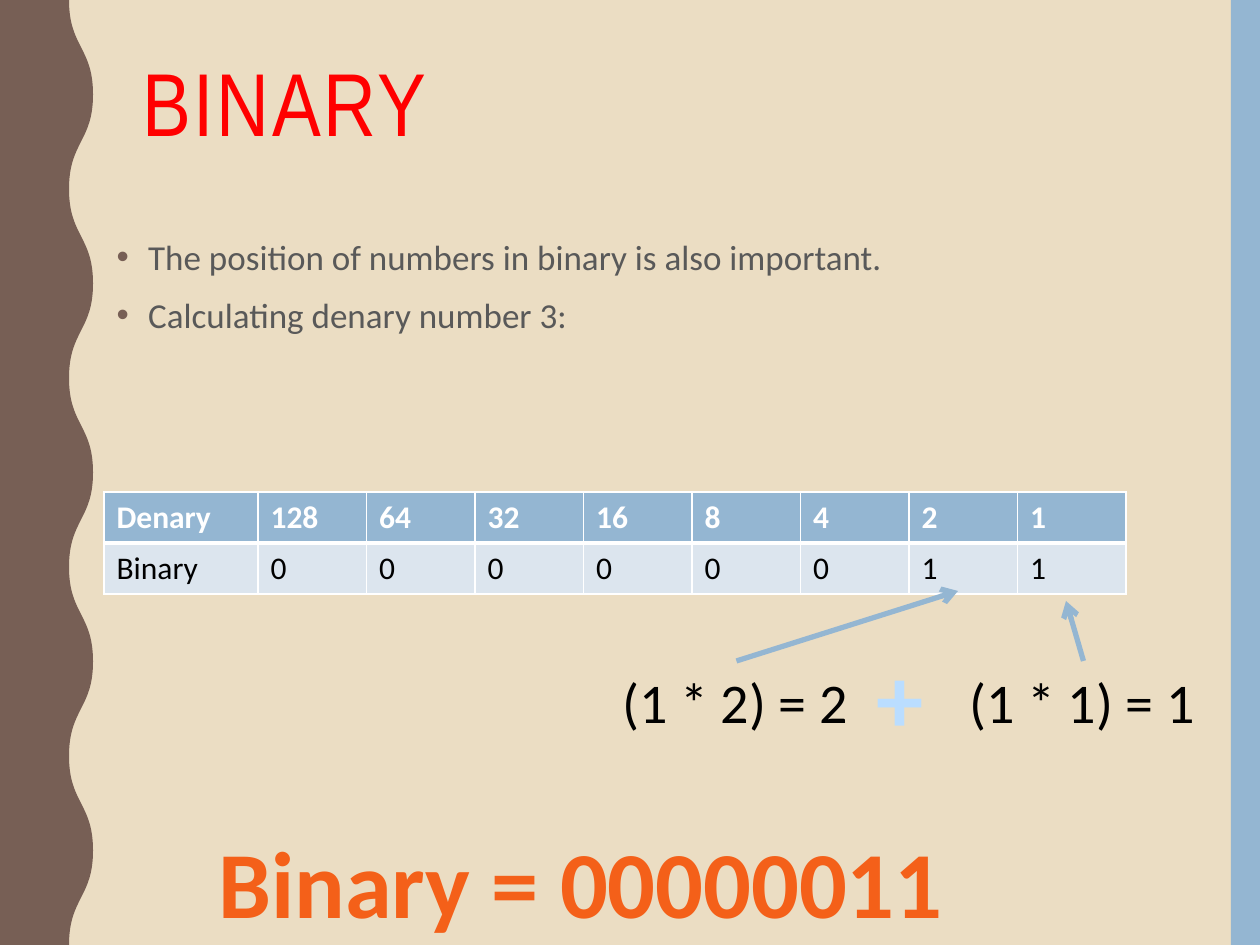
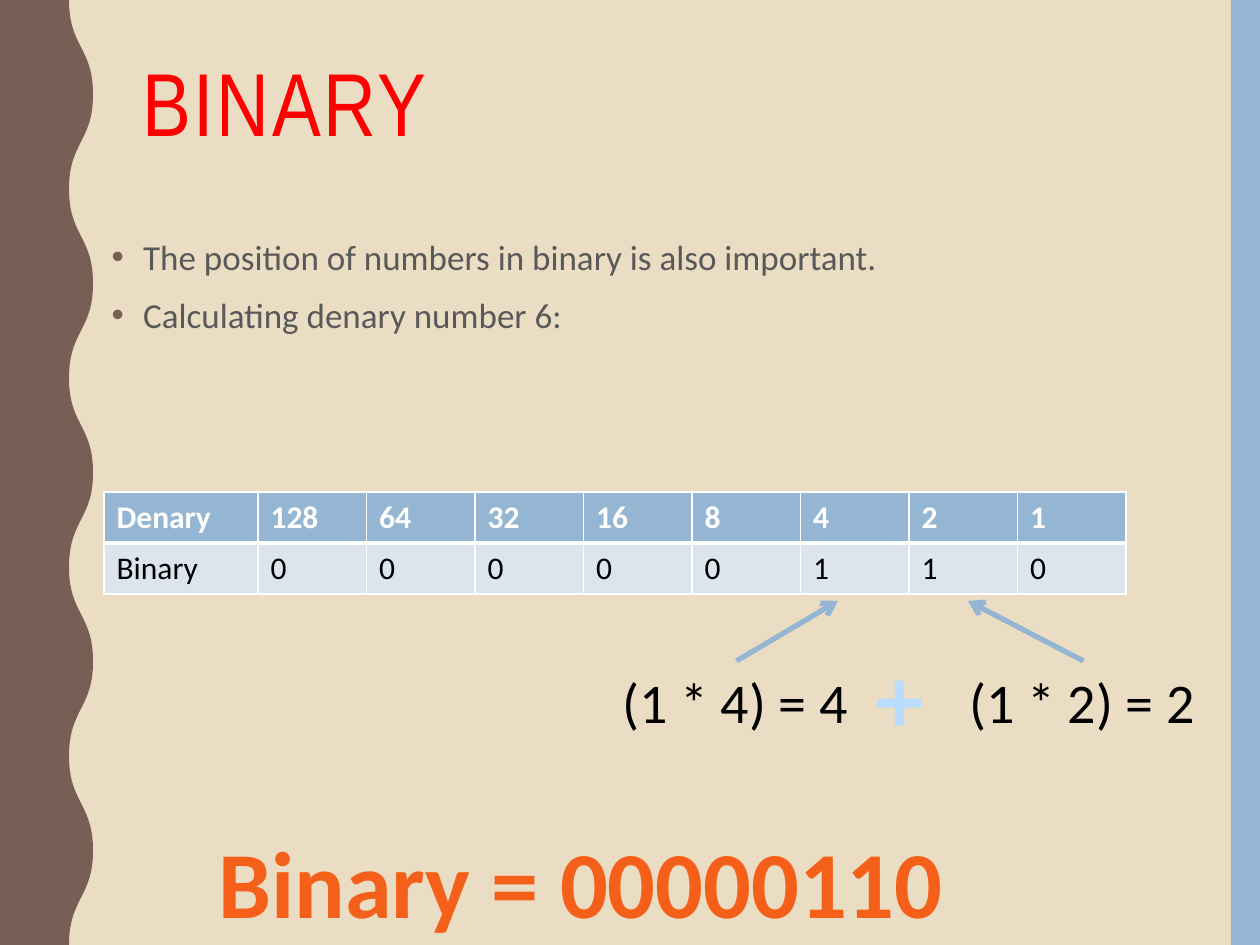
from lxml import etree
from pptx import Presentation
from pptx.dml.color import RGBColor
from pptx.enum.shapes import MSO_CONNECTOR, MSO_SHAPE
from pptx.enum.text import MSO_ANCHOR, MSO_AUTO_SIZE, PP_ALIGN
from pptx.oxml.ns import qn
from pptx.util import Emu, Inches, Pt

RECTANGLE = MSO_SHAPE.RECTANGLE
STRAIGHT = MSO_CONNECTOR.STRAIGHT
TOP = MSO_ANCHOR.TOP
NO_FIT, GROW = MSO_AUTO_SIZE.NONE, MSO_AUTO_SIZE.SHAPE_TO_FIT_TEXT
LEFT, CENTER = PP_ALIGN.LEFT, PP_ALIGN.CENTER

SAND = RGBColor(0xEB, 0xDD, 0xC3)
BROWN = RGBColor(0x77, 0x5F, 0x55)
BLUE = RGBColor(0x94, 0xB6, 0xD2)
PALE_BLUE = RGBColor(0xDC, 0xE5, 0xEE)
EDGE_BLUE = RGBColor(0x89, 0xAC, 0xCA)
SKY = RGBColor(0xBA, 0xDD, 0xFF)
LIGHT_SKY = RGBColor(0xCF, 0xE6, 0xFC)
DEEP_BLUE = RGBColor(0x2B, 0x5D, 0x87)
PEACH = RGBColor(0xFF, 0xA9, 0x88)
ORANGE = RGBColor(0xF4, 0x60, 0x19)
RUST = RGBColor(0xD8, 0x52, 0x00)
RED = RGBColor(0xFF, 0x00, 0x00)
GREY = RGBColor(0x59, 0x59, 0x59)
BLACK = RGBColor(0x00, 0x00, 0x00)
WHITE = RGBColor(0xFF, 0xFF, 0xFF)

ANSWER_GRADIENT = [(0, PEACH), (75, ORANGE), (100, RUST)]
PLUS_GRADIENT = [(0, LIGHT_SKY), (9, SKY), (50, DEEP_BLUE), (79, SKY), (100, LIGHT_SKY)]

HEADING_FONT, TEXT_FONT = "Arial Narrow", "Calibri"
PIXELS_PER_INCH = 126
PAGE_WIDTH, PAGE_HEIGHT = 1260, 945
PLACES = [128, 64, 32, 16, 8, 4, 2, 1]

TITLE_BOX = (130, 53, 1052, 205)
TABLE_BOX = (104, 492, 1022, 102)
SUM_BOX = (610, 633, 600, 127)
ANSWER_BOX = (196, 818, 770, 127)

# number, body box, arrow tips under the two digits that are 1
EXAMPLES = [
    (3, (104, 225, 1108, 638), [(958, 591), (1066, 601)]),
    (6, (99, 225, 1112, 638), [(838, 601), (968, 601)]),
]


def px(pixels):
    """Turn pixels into EMU."""
    return Emu(round(pixels * Inches(1) / PIXELS_PER_INCH))


def place(shape, box):
    """Move a shape to a pixel box."""
    shape.left, shape.top, shape.width, shape.height = map(px, box)


def add_span(para, text, size, color, bold=False, font=TEXT_FONT):
    """Append one formatted run to a paragraph."""
    span = para.add_run()
    span.text = text
    span.font.name, span.font.size, span.font.bold = font, Pt(size), bold
    if color is not None:
        span.font.color.rgb = color
    return span


def make_line(tag, points, color):
    """Return a solid line element for a text outline or a cell border."""
    line = etree.Element(qn(tag), w=str(Pt(points)))
    fill = etree.SubElement(line, qn("a:solidFill"))
    etree.SubElement(fill, qn("a:srgbClr"), val=str(color))
    return line


def add_gradient(span, stops, outline=None):
    """Give a run a vertical gradient and, if asked, an outline."""
    properties = span.font.fill._xPr
    gradient = etree.Element(qn("a:gradFill"))
    stop_list = etree.SubElement(gradient, qn("a:gsLst"))
    for percent, color in stops:
        stop = etree.SubElement(stop_list, qn("a:gs"), pos=str(percent * 1000))
        etree.SubElement(stop, qn("a:srgbClr"), val=str(color))
    etree.SubElement(gradient, qn("a:lin"), ang="5400000")
    properties.insert(0, gradient)
    if outline is not None:
        properties.insert(0, make_line("a:ln", 0.83, outline))


def add_label(page, box, text, size, color=None, bold=False, align=LEFT):
    """Add a one-line text box and return its run."""
    label = page.shapes.add_textbox(*map(px, box))
    frame = label.text_frame
    frame.word_wrap, frame.auto_size = False, GROW
    para = frame.paragraphs[0]
    para.alignment = align
    return add_span(para, text, size, color, bold)


def add_wave(page, trough, crest, waves):
    """Add the left edge: a freeform whose right side is a smooth wave."""
    half = PAGE_HEIGHT / (2 * waves)
    turns = [(px(crest if index % 2 else trough), px(index * half))
             for index in range(2 * waves + 1)]
    builder = page.shapes.build_freeform(0, 0)
    builder.add_line_segments([*turns, (0, px(PAGE_HEIGHT))])
    wave = builder.convert_to_shape()
    segments = list(wave.element.iter(qn("a:lnTo")))[1:]
    for segment, start, end in zip(segments, turns, turns[1:]):
        middle = (start[1] + end[1]) // 2
        segment.tag = qn("a:cubicBezTo")
        for index, x in enumerate((start[0], end[0])):
            control = etree.Element(qn("a:pt"), x=str(x), y=str(middle))
            segment.insert(index, control)
    return wave


def decorate_layout(layout, page):
    """Put the background, right band and wavy left edge on the layout."""
    layout.background.fill.solid()
    layout.background.fill.fore_color.rgb = SAND
    for footer in list(layout.placeholders)[2:]:
        footer.element.getparent().remove(footer.element)
    band = page.shapes.add_shape(RECTANGLE, px(1231), 0, px(29), px(PAGE_HEIGHT))
    wave = add_wave(page, 69, 93, 5)
    for index, (shape, color) in enumerate([(band, BLUE), (wave, BROWN)]):
        shape.shadow.inherit = False
        shape.fill.solid()
        shape.fill.fore_color.rgb = color
        shape.line.fill.background()
        layout.shapes.element.insert(2 + index, shape.element)


def fill_title(page, box, text):
    """Write the red title."""
    title = page.shapes.title
    place(title, box)
    frame = title.text_frame
    frame.vertical_anchor, frame.auto_size = TOP, NO_FIT
    para = frame.paragraphs[0]
    para.alignment, para.line_spacing = LEFT, 0.9
    span = add_span(para, text, 51, RED, font=HEADING_FONT)
    span.font.fill._xPr.set("spc", "150")


def fill_body(page, box, lines):
    """Write the bulleted list."""
    body = page.placeholders[1]
    place(body, box)
    frame = body.text_frame
    frame.vertical_anchor, frame.auto_size = TOP, NO_FIT
    for index, text in enumerate(lines):
        para = frame.add_paragraph() if index else frame.paragraphs[0]
        para.line_spacing, para.space_before = 1.1, Pt(7)
        properties = para._p.get_or_add_pPr()
        properties.set("marL", str(Inches(0.25)))
        properties.set("indent", str(-Inches(0.25)))
        bullet_color = etree.SubElement(properties, qn("a:buClr"))
        etree.SubElement(bullet_color, qn("a:srgbClr"), val=str(BROWN))
        etree.SubElement(properties, qn("a:buFont"), typeface="Arial")
        etree.SubElement(properties, qn("a:buChar"), char="•")
        add_span(para, text, 20, GREY)


def add_borders(cell, bottom):
    """Give a cell thin white borders and a bottom border of its own width."""
    properties = cell._tc.get_or_add_tcPr()
    widths = {"a:lnL": 1, "a:lnR": 1, "a:lnT": 1, "a:lnB": bottom}
    for index, (tag, points) in enumerate(widths.items()):
        properties.insert(index, make_line(tag, points, WHITE))


def add_place_table(page, box, digits):
    """Add the table of place values over binary digits."""
    rows = [["Denary", *map(str, PLACES)], ["Binary", *digits]]
    table = page.shapes.add_table(len(rows), len(rows[0]), *map(px, box)).table
    label_width = 154
    place_width = (box[2] - label_width) / len(PLACES)
    for index, column in enumerate(table.columns):
        column.width = px(place_width if index else label_width)
    styles = [(BLUE, WHITE, True, 3), (PALE_BLUE, BLACK, False, 1)]
    for row, texts, (fill, color, bold, bottom) in zip(table.rows, rows, styles):
        for cell, text in zip(row.cells, texts):
            cell.fill.solid()
            cell.fill.fore_color.rgb = fill
            add_borders(cell, bottom)
            add_span(cell.text_frame.paragraphs[0], text, 18, color, bold)


def add_arrow(page, start, end):
    """Draw a blue arrow between two points."""
    arrow = page.shapes.add_connector(STRAIGHT, *map(px, (*start, *end)))
    arrow.line.color.rgb = BLUE
    arrow.line.width = Pt(3)
    etree.SubElement(arrow.line._get_or_add_ln(), qn("a:tailEnd"), type="arrow")
    etree.SubElement(arrow.element.spPr, qn("a:effectLst"))


def add_sum(page, box, terms, tips):
    """Add the two products, their arrows and the plus sign."""
    left, top, width, height = box
    term_width, term_top = 253, top + 28
    term_lefts = [left, left + width - term_width]
    for term_left, value, tip in reversed(list(zip(term_lefts, terms, tips))):
        term_box = (term_left, term_top, term_width, 81)
        add_label(page, term_box, f"(1 * {value}) = {value}", 32, BLACK)
        add_arrow(page, (term_left + term_width / 2, term_top), tip)
    plus = add_label(page, (left + 252, top, 76, height), "+", 54, bold=True, align=CENTER)
    add_gradient(plus, PLUS_GRADIENT, EDGE_BLUE)


def fill_example(page, number, body_box, tips):
    """Fill one slide that works out a number in binary."""
    digits = f"{number:08b}"
    fill_title(page, TITLE_BOX, "BINARY")
    fill_body(page, body_box, [
        "The position of numbers in binary is also important.",
        f"Calculating denary number {number}:",
    ])
    add_place_table(page, TABLE_BOX, digits)
    answer = add_label(page, ANSWER_BOX, f"Binary = {digits}", 54, bold=True, align=CENTER)
    add_gradient(answer, ANSWER_GRADIENT)
    terms = [value for value, digit in zip(PLACES, digits) if digit == "1"]
    add_sum(page, SUM_BOX, terms, tips)


deck = Presentation()
deck.slide_width, deck.slide_height = px(PAGE_WIDTH), px(PAGE_HEIGHT)
example_layout = deck.slide_layouts[1]
pages = [deck.slides.add_slide(example_layout) for _ in EXAMPLES]
decorate_layout(example_layout, pages[0])
for page, example in zip(pages, EXAMPLES):
    fill_example(page, *example)
deck.save("out.pptx")
